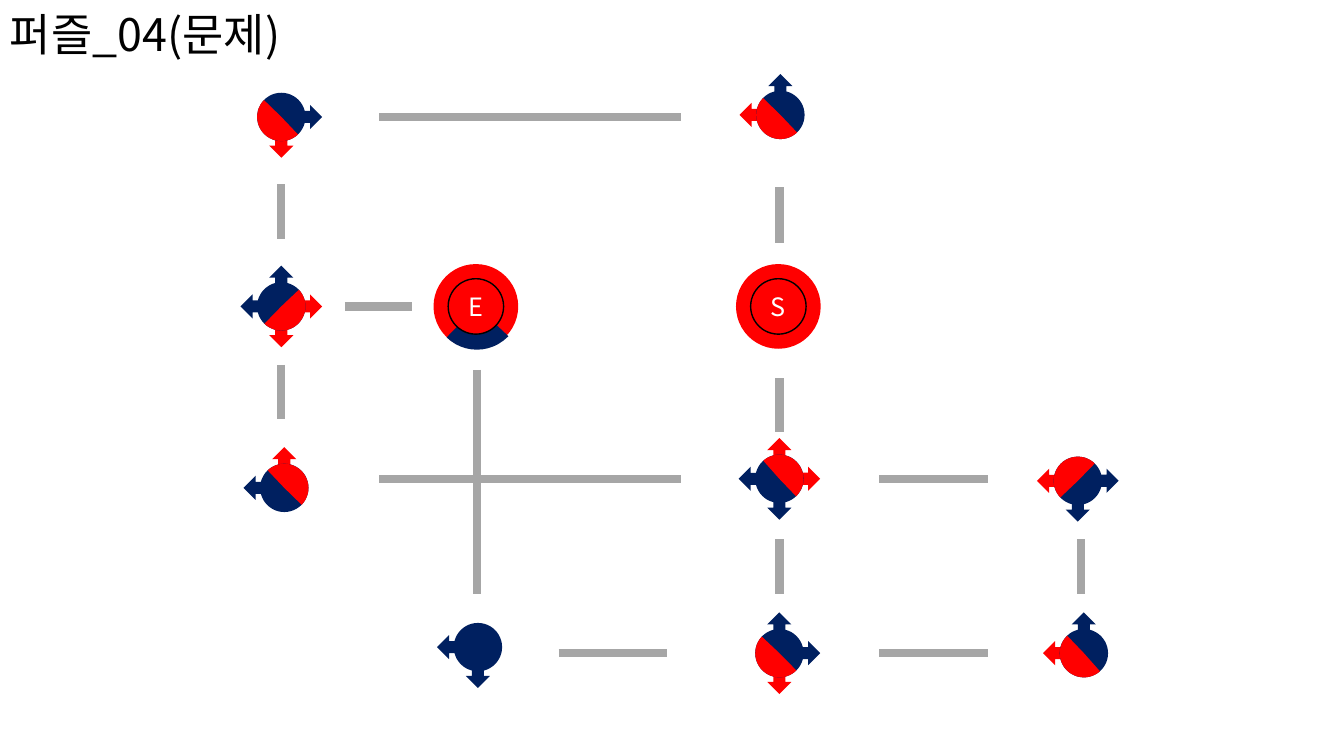
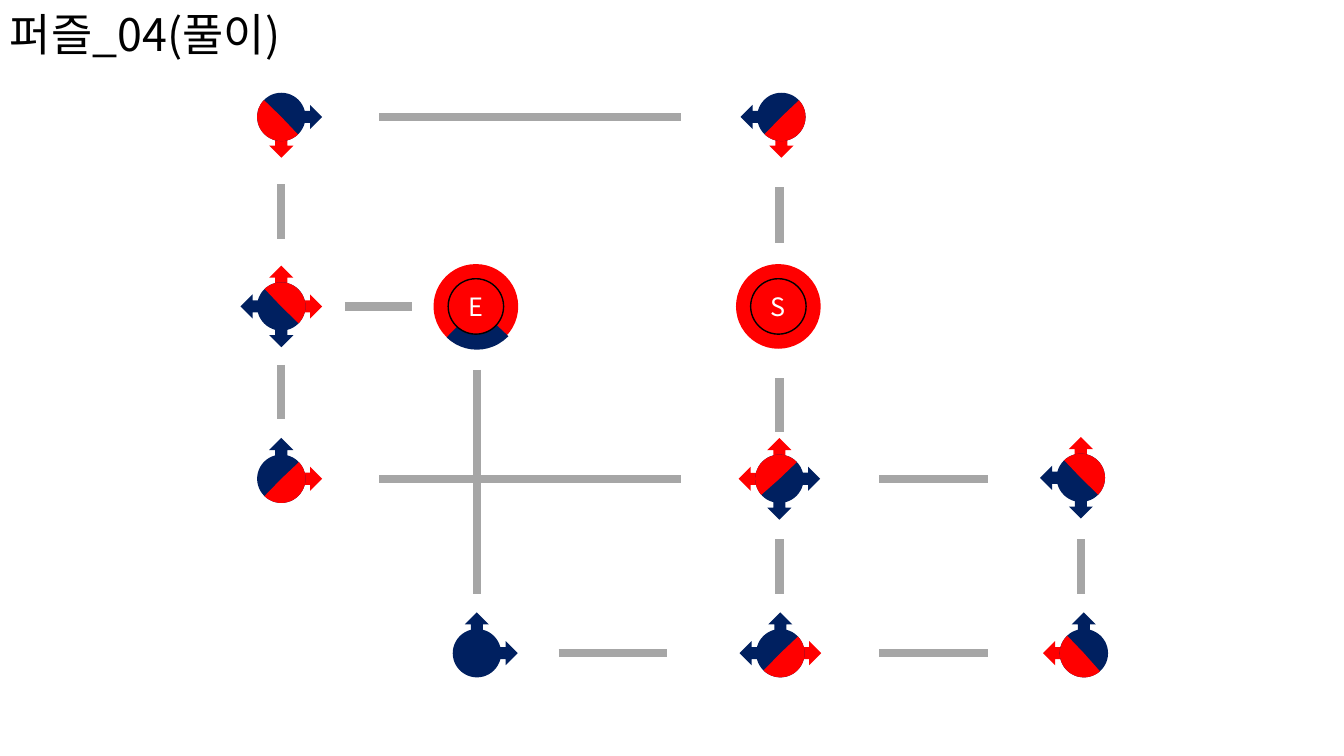
from dataclasses import dataclass
from math import cos, radians, sin

from lxml.etree import SubElement
from pptx import Presentation
from pptx.dml.color import RGBColor as RGB
from pptx.enum.shapes import MSO_CONNECTOR as CONN, MSO_SHAPE as SHAPE
from pptx.enum.text import MSO_ANCHOR as ANCHOR, PP_ALIGN as ALIGN
from pptx.oxml.ns import qn
from pptx.util import Inches, Pt


@dataclass(frozen=True)
class Theme:
    red: RGB = RGB(0xFF, 0x00, 0x00)
    navy: RGB = RGB(0x00, 0x20, 0x60)
    grey: RGB = RGB(0xA6, 0xA6, 0xA6)
    black: RGB = RGB(0x00, 0x00, 0x00)
    white: RGB = RGB(0xFF, 0xFF, 0xFF)
    font: str = "Noto Sans CJK KR"
    title_size: int = 32
    letter_size: int = 18
    link_width: int = 6


T = Theme()

# Board grid, in inches
COLS = (2.79, 4.73, 7.73, 10.72)
ROWS = (1.16, 3.04, 4.75, 6.48)
DISC, RING, HUB = 0.48, 0.84, 0.55
ARROW_W, ARROW_H, ARROW_REACH = 0.35, 0.24, 0.23

# Clockwise angles from the right; pie adjustments for a half and a quarter
ANGLES = {"R": 0, "D": 90, "L": 180, "U": 270}
HALF, QUARTER = (162.91, 53.52), (215.09, 53.52)

# Links: (column, top, bottom) and (row, left, right)
COLUMN_LINKS = [(0, 1.83, 2.37), (0, 3.62, 4.16), (1, 3.67, 5.89),
                (2, 1.86, 2.41), (2, 3.75, 4.29), (2, 5.35, 5.89),
                (3, 5.35, 5.89)]
ROW_LINKS = [(0, 3.76, 6.75), (1, 3.42, 4.09), (2, 3.76, 6.75),
             (2, 8.72, 9.8), (3, 5.54, 6.62), (3, 8.72, 9.8)]

# Nodes: column, row, arrows, direction of the red half, optional nudge x, y
FIXED_NODES = [(0, 0, "RD", 135), (3, 3, "LU", 137, 0.03)]
PUZZLES = {
    "퍼즐_04(문제)": [
        (2, 0, "LU", 135, 0.01, -0.02), (0, 1, "RDLU", 45),
        (0, 2, "LU", 315, 0.03, 0.09), (2, 2, "RDLU", 317),
        (3, 2, "RDL", 225, -0.03, 0.02), (1, 3, "LD", None, 0.01, -0.06),
        (2, 3, "RDU", 134),
    ],
    "퍼즐_04(풀이)": [
        (2, 0, "LD", 45, 0.02), (0, 1, "RDLU", 315), (0, 2, "RU", 45),
        (2, 2, "RDLU", 227), (3, 2, "LDU", 315, 0, -0.01),
        (1, 3, "RU", None), (2, 3, "RLU", 45, 0.01),
    ],
}


def add_part(shapes, kind, cx, cy, w, h, color, turn=0, adj=()):
    """Add a plain filled shape centred on a point."""
    sp = shapes.add_shape(kind, Inches(cx - w / 2), Inches(cy - h / 2),
                          Inches(w), Inches(h))
    sp.shadow.inherit = False
    sp.fill.solid()
    sp.fill.fore_color.rgb = color
    sp.line.fill.background()
    sp.rotation = turn
    for i, value in enumerate(adj):
        sp.adjustments[i] = value
    return sp


def set_text(sp, text, size, color, align):
    tf = sp.text_frame
    tf.word_wrap = True
    tf.vertical_anchor = ANCHOR.MIDDLE
    p = tf.paragraphs[0]
    p.text = text
    p.alignment = align
    p.font.size = Pt(size)
    p.font.color.rgb = color
    p.font.name = T.font
    # East Asian typeface
    props = p._p.get_or_add_pPr().find(qn("a:defRPr"))
    SubElement(props, qn("a:ea")).set("typeface", T.font)
    return p


def add_title(sl, text):
    sp = sl.shapes.add_textbox(0, 0, Inches(11.5), Inches(0.74))
    set_text(sp, text, T.title_size, T.black, ALIGN.LEFT).line_spacing = 0.9


def add_link(sl, x1, y1, x2, y2):
    line = sl.shapes.add_connector(CONN.STRAIGHT, Inches(x1), Inches(y1),
                                   Inches(x2), Inches(y2))
    line.line.color.rgb = T.grey
    line.line.width = Pt(T.link_width)
    SubElement(line._element.spPr, qn("a:effectLst"))


def add_node(sl, col, row, arrows, red_side, dx=0, dy=0):
    """Add a two-colour disc; each arrow takes the colour of its half."""
    shapes = sl.shapes.add_group_shape().shapes
    cx, cy = COLS[col] + dx, ROWS[row] + dy
    for direction in arrows:
        angle = ANGLES[direction]
        a = radians(angle)
        is_red = red_side is not None and cos(a - radians(red_side)) > 0
        add_part(shapes, SHAPE.RIGHT_ARROW, cx + ARROW_REACH * cos(a),
                 cy + ARROW_REACH * sin(a), ARROW_W, ARROW_H,
                 T.red if is_red else T.navy, angle)
    add_part(shapes, SHAPE.OVAL, cx, cy, DISC, DISC, T.navy)
    if red_side is not None:
        add_part(shapes, SHAPE.PIE, cx, cy, DISC, DISC, T.red, red_side, HALF)


def add_terminal(sl, letter, col, row, navy_exit=False):
    """Add a ringed start or end point."""
    shapes = sl.shapes.add_group_shape().shapes
    cx, cy = COLS[col] - 0.01, ROWS[row]
    add_part(shapes, SHAPE.OVAL, cx, cy, RING, RING, T.red)
    if navy_exit:
        add_part(shapes, SHAPE.PIE, cx + 0.01, cy, RING + 0.02, RING + 0.02,
                 T.navy, 45, QUARTER)
    hub = add_part(shapes, SHAPE.OVAL, cx, cy, HUB, HUB, T.red)
    hub.line.color.rgb = T.black
    hub.line.width = Pt(1)
    set_text(hub, letter, T.letter_size, T.white, ALIGN.CENTER)


def add_board(sl, nodes):
    for col, top, bottom in COLUMN_LINKS:
        add_link(sl, COLS[col], top, COLS[col], bottom)
    for row, left, right in ROW_LINKS:
        add_link(sl, left, ROWS[row], right, ROWS[row])
    for node in FIXED_NODES + nodes:
        add_node(sl, *node)
    add_terminal(sl, "S", 2, 1)
    add_terminal(sl, "E", 1, 1, navy_exit=True)


def main():
    prs = Presentation()
    prs.slide_width, prs.slide_height = Inches(13.33), Inches(7.5)
    for title, nodes in PUZZLES.items():
        sl = prs.slides.add_slide(prs.slide_layouts[6])
        add_title(sl, title)
        add_board(sl, nodes)
    prs.save("out.pptx")


if __name__ == "__main__":
    main()
